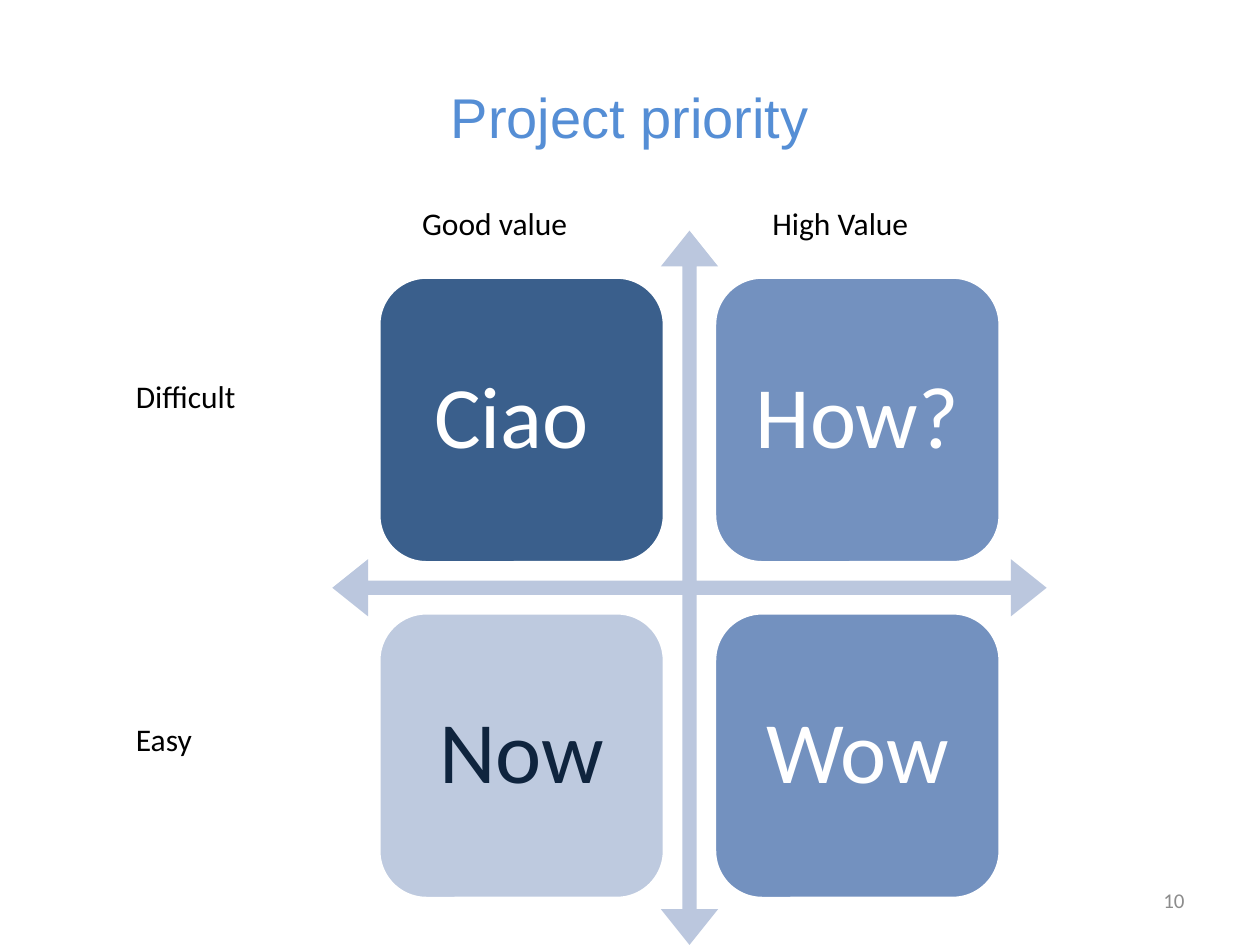
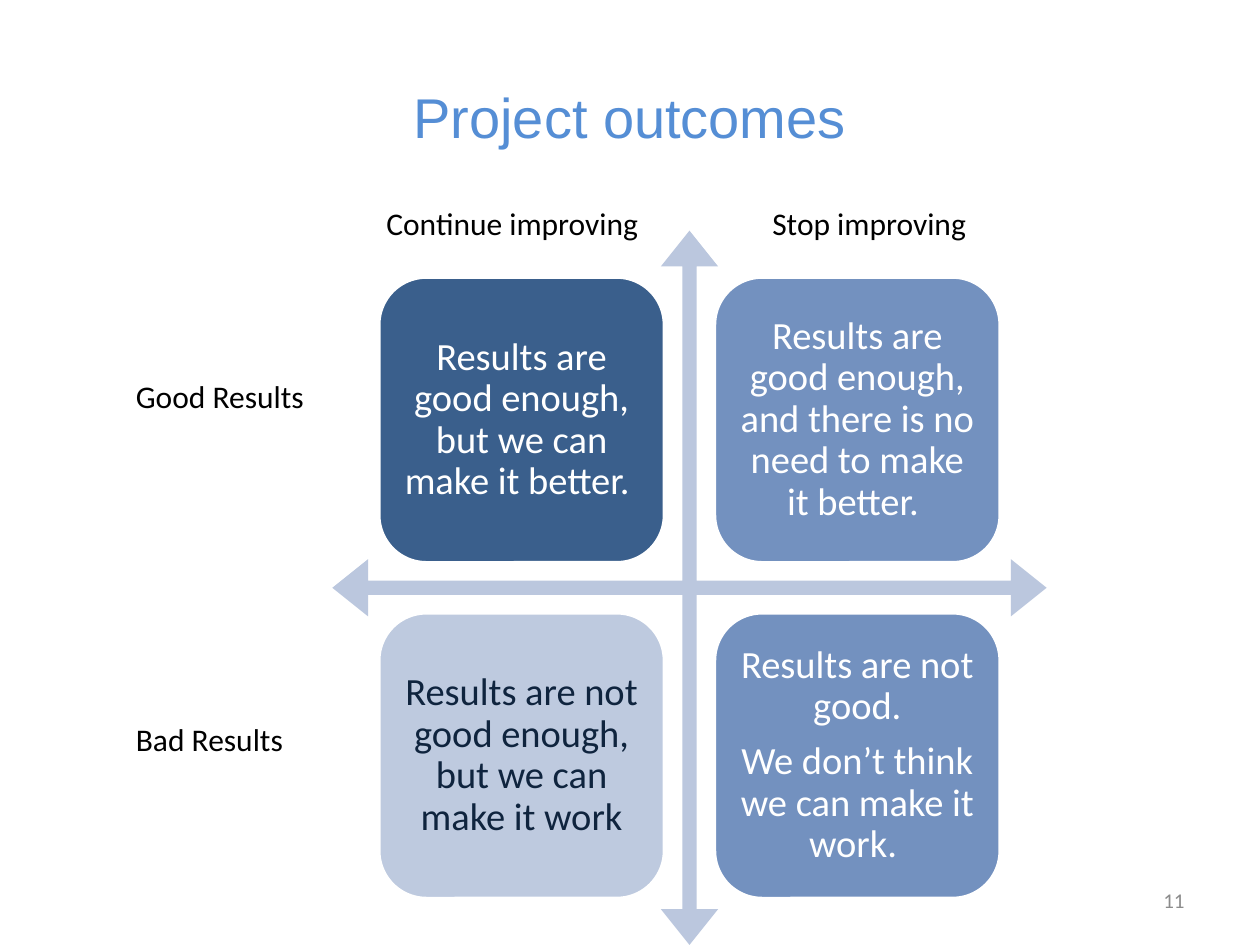
import pptx
import pptx.util
import pptx.dml.color
import pptx.enum.shapes
import pptx.enum.text

Cm = pptx.util.Cm
Pt = pptx.util.Pt
RGB = pptx.dml.color.RGBColor
Kind = pptx.enum.shapes.MSO_SHAPE
Align = pptx.enum.text.PP_ALIGN
Anchor = pptx.enum.text.MSO_ANCHOR

# Colours
SKY = RGB(0x55, 0x8E, 0xD5)
DARK = RGB(0x3A, 0x5F, 0x8C)
MID = RGB(0x73, 0x91, 0xBF)
PALE = RGB(0xBE, 0xCA, 0xDF)
CROSS = RGB(0xBB, 0xC7, 0xDE)
NAVY = RGB(0x0F, 0x24, 0x3E)
GREY = RGB(0x8C, 0x8C, 0x8C)
WHITE = RGB(0xFF, 0xFF, 0xFF)
BLACK = RGB(0, 0, 0)

# Matrix geometry in cm: tiles sit inside the square cross
LEFT, TOP, SIDE = 6.7, 4.65, 14.4
TILE = 0.4 * SIDE
INSET = 0.065 * SIDE
STEP = SIDE - 2 * INSET - TILE
TONES = [(DARK, WHITE), (MID, WHITE), (PALE, NAVY), (MID, WHITE)]

# Label places in cm
SIDE_X, HEAD_Y = 2.49, 3.99
ROWS = (7.47, 14.4)


class Deck:
    def __init__(self):
        self.show = pptx.Presentation()
        self.show.slide_width = Cm(25.4)
        self.show.slide_height = Cm(19.05)
        self.slide = None

    def page(self, title, number):
        """Start a slide with its title and page number."""
        self.slide = self.show.slides.add_slide(self.show.slide_layouts[6])
        self.text(number, 18.2, 17.65, 5.93, 1.01, 12, GREY,
                  align=Align.RIGHT, anchor=Anchor.MIDDLE)
        self.text(title, 1.27, 0.76, 22.86, 3.18, 32, SKY, "Arial",
                  Align.CENTER, Anchor.MIDDLE)

    def style(self, para, size, tint, font, align):
        para.alignment = align
        para.font.size = Pt(size)
        para.font.name = font
        para.font.color.rgb = tint

    def text(self, words, x, y, wide, high, size, tint, font="Calibri",
             align=Align.LEFT, anchor=Anchor.TOP, wrap=True):
        box = self.slide.shapes.add_textbox(Cm(x), Cm(y), Cm(wide), Cm(high))
        frame = box.text_frame
        frame.word_wrap = wrap
        frame.vertical_anchor = anchor
        frame.text = words
        self.style(frame.paragraphs[0], size, tint, font, align)
        return frame

    def label(self, words, x, y, wide):
        frame = self.text(words, x, y, wide, 1.02, 18, BLACK, wrap=False)
        frame.auto_size = pptx.enum.text.MSO_AUTO_SIZE.SHAPE_TO_FIT_TEXT

    def shape(self, kind, x, y, side, fill):
        item = self.slide.shapes.add_shape(
            kind, Cm(x), Cm(y), Cm(side), Cm(side))
        item.shadow.inherit = False
        item.fill.solid()
        item.fill.fore_color.rgb = fill
        return item

    def cross(self):
        item = self.shape(Kind.QUAD_ARROW, LEFT, TOP, SIDE, CROSS)
        item.line.fill.background()
        for spot, value in enumerate((0.02, 0.04, 0.05)):
            item.adjustments[spot] = value

    def tile(self, words, x, y, size, pad, fill, tint):
        item = self.shape(Kind.ROUNDED_RECTANGLE, x, y, TILE, fill)
        item.line.color.rgb = WHITE
        item.line.width = Pt(2)
        frame = item.text_frame
        frame.word_wrap = True
        frame.vertical_anchor = Anchor.MIDDLE
        frame.margin_left = frame.margin_right = Cm(pad)
        frame.margin_top = frame.margin_bottom = Cm(pad)
        frame.text = words
        for para in frame.paragraphs:
            self.style(para, size, tint, "Calibri", Align.CENTER)
            para.line_spacing = 0.9
            para.space_after = Pt(0.35 * size)

    def matrix(self, cells, size, pad):
        """Draw the cross and its two by two tiles, row by row."""
        self.cross()
        for spot, (words, tone) in enumerate(zip(cells, TONES)):
            row, col = divmod(spot, 2)
            self.tile(words, LEFT + INSET + col * STEP,
                      TOP + INSET + row * STEP, size, pad, *tone)

    def labels(self, rows, heads):
        for (words, wide), y in zip(rows, ROWS):
            self.label(words, SIDE_X, y, wide)
        for words, x, wide in heads:
            self.label(words, x, HEAD_Y, wide)


def main():
    deck = Deck()

    # Priority
    deck.page("Project priority", "10")
    deck.matrix(["Ciao ", "How?", "Now", "Wow"], 50, 0.53)
    deck.labels([("Difficult", 2.57), ("Easy", 1.65)],
                [("Good value", 8.26, 3.48), ("High Value", 15.32, 3.3)])

    # Outcomes
    deck.page("Project outcomes", "11")
    deck.matrix([
        "Results are good enough, but we can make it better. ",
        "Results are good enough, and there is no need to make it better. ",
        "Results are not good enough, but we can make it work",
        "Results are not good.\nWe don’t think we can make it work. ",
    ], 22, 0.23)
    deck.labels([("Good Results", 3.94), ("Bad Results", 3.51)],
                [("Continue improving", 7.54, 5.66),
                 ("Stop improving", 15.32, 4.47)])

    deck.show.save("out.pptx")


if __name__ == "__main__":
    main()
